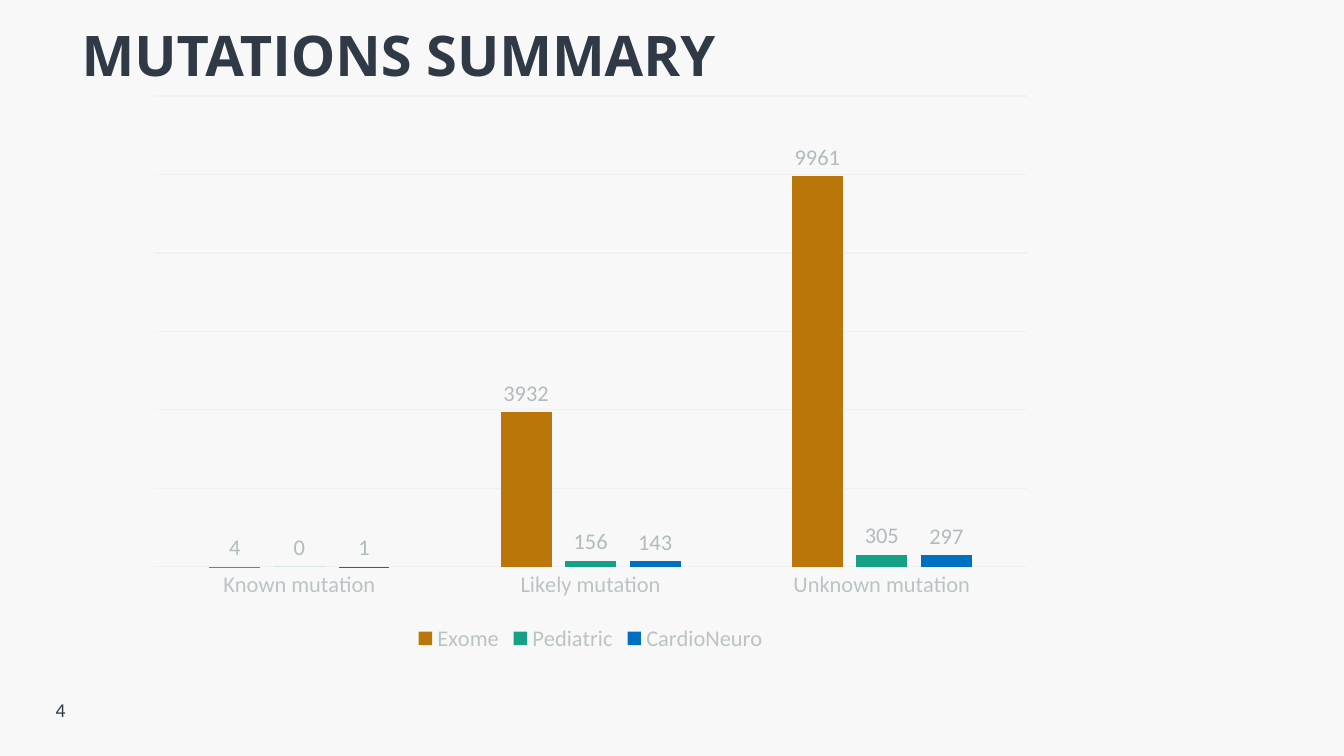
from pptx import Presentation
from pptx import util as u
from pptx.chart.data import CategoryChartData
from pptx.dml.color import RGBColor
from pptx.enum import chart as charts, text

INK = "2F3A46"
GRID = "EFF2F2"
AXIS_TEXT = "BAC4C5"
LABEL_TEXT = "B0BCBC"
CATEGORIES = ["Known mutation", "Likely mutation", "Unknown mutation"]
SERIES = [
    ("Exome", (4, 3932, 9961), "BA7609"),
    ("Pediatric", (0, 156, 305), "16A085"),
    ("CardioNeuro", (1, 143, 297), "0070C0"),
]


def color(value):
    return RGBColor.from_string(value)


def box(left, top, width, height):
    return [u.Inches(length) for length in (left, top, width, height)]


def set_font(font, size, hex_color, name="Calibri", bold=False):
    font.size = u.Pt(size)
    font.color.rgb = color(hex_color)
    font.name = name
    font.bold = bold


def set_line(line, hex_color, width=0.75):
    line.color.rgb = color(hex_color)
    line.width = u.Pt(width)


def add_text(slide, content, position, align=text.PP_ALIGN.LEFT, **font_format):
    shape = slide.shapes.add_textbox(*box(*position))
    frame = shape.text_frame
    frame.word_wrap = True
    frame.vertical_anchor = text.MSO_ANCHOR.MIDDLE
    paragraph = frame.paragraphs[0]
    paragraph.alignment = align
    run = paragraph.add_run()
    run.text = content
    set_font(run.font, **font_format)


def style_axes(chart):
    category_axis = chart.category_axis
    category_axis.major_tick_mark = charts.XL_TICK_MARK.NONE
    category_axis.has_major_gridlines = False
    set_font(category_axis.tick_labels.font, 12, AXIS_TEXT)
    set_line(category_axis.format.line, GRID)

    value_axis = chart.value_axis
    value_axis.minimum_scale = 0
    value_axis.maximum_scale = 12000
    value_axis.major_unit = 2000
    value_axis.has_major_gridlines = True
    set_line(value_axis.major_gridlines.format.line, GRID)
    value_axis.visible = False


def style_series(series, hex_color):
    series.invert_if_negative = False
    series.format.fill.solid()
    series.format.fill.fore_color.rgb = color(hex_color)
    series.format.line.fill.background()
    labels = series.data_labels
    labels.show_value = True
    labels.position = charts.XL_LABEL_POSITION.OUTSIDE_END
    set_font(labels.font, 12, LABEL_TEXT)


def add_column_chart(slide, position):
    data = CategoryChartData()
    data.categories = CATEGORIES
    for name, values, _ in SERIES:
        data.add_series(name, values)
    chart = slide.shapes.add_chart(
        charts.XL_CHART_TYPE.COLUMN_CLUSTERED, *box(*position), data
    ).chart
    set_font(chart.font, 10, "95A5A6")
    chart.has_title = False
    chart.has_legend = True
    chart.legend.position = charts.XL_LEGEND_POSITION.BOTTOM
    chart.legend.include_in_layout = False
    set_font(chart.legend.font, 12, AXIS_TEXT)
    style_axes(chart)

    plot = chart.plots[0]
    plot.gap_width = 219
    plot.overlap = -27
    plot.vary_by_categories = False
    for series, (_, _, hex_color) in zip(plot.series, SERIES):
        style_series(series, hex_color)


def main():
    presentation = Presentation()
    presentation.slide_width = u.Inches(10)
    presentation.slide_height = u.Inches(10 * 9 / 16)
    slide = presentation.slides.add_slide(presentation.slide_layouts[6])
    slide.background.fill.solid()
    slide.background.fill.fore_color.rgb = color("F8F8F8")

    add_text(slide, "MUTATIONS SUMMARY", (0.51, 0.1, 8.04, 0.61),
             size=30, hex_color=INK, name="Open Sans", bold=True)
    add_text(slide, "4", (0.27, 5.12, 0.36, 0.32),
             align=text.PP_ALIGN.CENTER, size=10.5, hex_color=INK)
    add_column_chart(slide, (1.01, 0.63, 6.77, 4.26))
    presentation.save("out.pptx")


if __name__ == "__main__":
    main()
